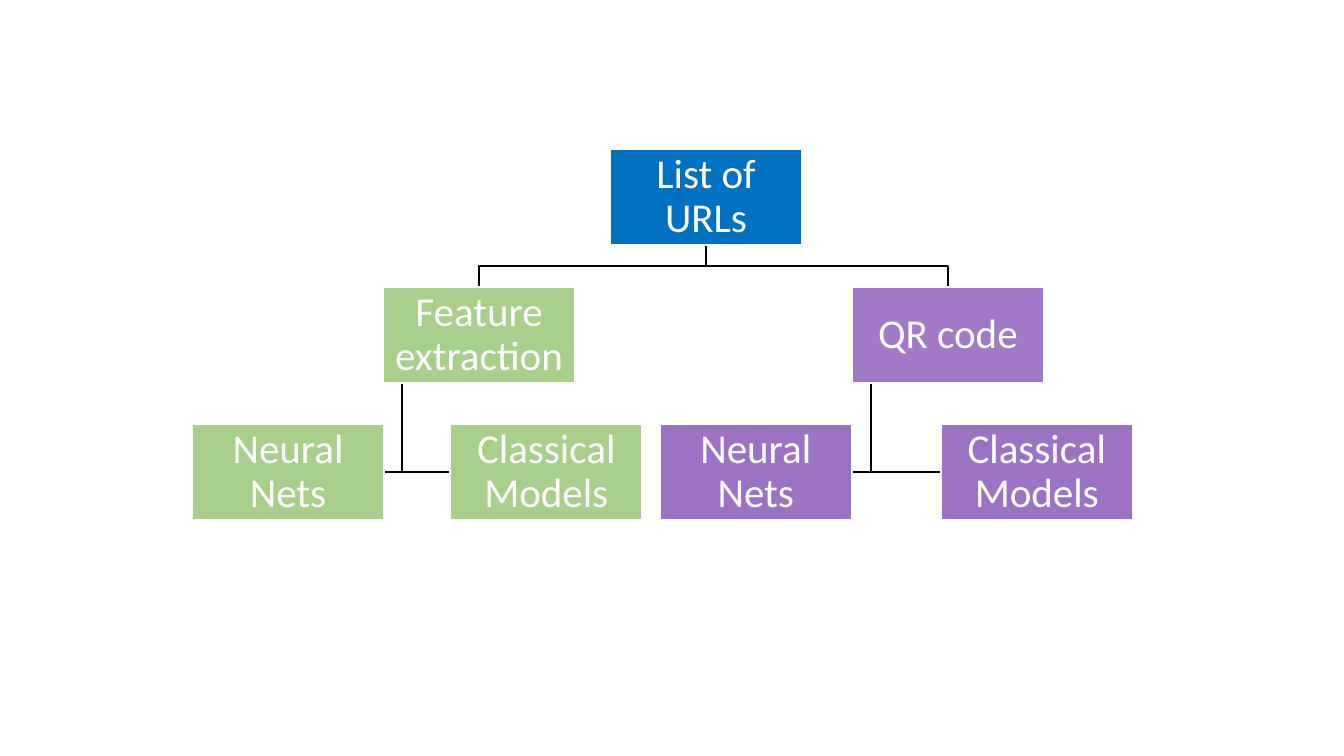
from lxml import etree
from pptx import Presentation
from pptx import util as u
from pptx.dml.color import RGBColor
from pptx.enum import shapes, text
from pptx.oxml.ns import qn

BLACK = RGBColor(0x00, 0x00, 0x00)
WHITE = RGBColor(0xFF, 0xFF, 0xFF)
BLUE = RGBColor(0x00, 0x70, 0xC0)
GREEN = RGBColor(0xA8, 0xD0, 0x8C)
PURPLE = RGBColor(0x9C, 0x72, 0xC4)

BOX_W, BOX_H = u.Cm(3.63), u.Cm(1.81)
ROOT_Y, BRANCH_Y, LEAF_Y = u.Cm(2.82), u.Cm(5.43), u.Cm(8.02)
ROOT_X = u.Cm(11.53)
TRUNK_INSET = u.Cm(0.36)

BRANCHES = [
    ("QR code", 16.1, PURPLE, 95, [("Classical Models", 17.78), ("Neural Nets", 12.47)]),
    ("Feature extraction", 7.24, GREEN, 100, [("Classical Models", 8.51), ("Neural Nets", 3.63)]),
]


def add_line(s, points):
    builder = s.shapes.build_freeform(*points[0], scale=1.0)
    builder.add_line_segments(points[1:], close=False)
    sp = builder.convert_to_shape()
    sp.shadow.inherit = False
    sp.fill.background()
    sp.line.color.rgb = BLACK
    sp.line.width = u.Pt(1.25)


def link_branch(s, branch_x):
    start_x, end_x = ROOT_X + BOX_W // 2, branch_x + BOX_W // 2
    top = ROOT_Y + BOX_H
    middle = (top + BRANCH_Y) // 2
    add_line(s, [(start_x, top), (start_x, middle), (end_x, middle), (end_x, BRANCH_Y)])


def link_leaf(s, branch_x, leaf_x):
    trunk_x = branch_x + TRUNK_INSET
    end_x = leaf_x if leaf_x > trunk_x else leaf_x + BOX_W
    middle = LEAF_Y + BOX_H // 2
    add_line(s, [(trunk_x, BRANCH_Y + BOX_H), (trunk_x, middle), (end_x, middle)])


def add_box(s, label, x, y, color, opacity=100):
    sp = s.shapes.add_shape(shapes.MSO_SHAPE.RECTANGLE, x, y, BOX_W, BOX_H)
    sp.shadow.inherit = False
    sp.fill.solid()
    sp.fill.fore_color.rgb = color
    if opacity < 100:
        clr = sp._element.spPr.find(qn("a:solidFill")).find(qn("a:srgbClr"))
        etree.SubElement(clr, qn("a:alpha")).set("val", str(opacity * 1000))
    sp.line.color.rgb = WHITE
    sp.line.width = u.Pt(1)
    tf = sp.text_frame
    tf.text = label
    tf.word_wrap = True
    tf.vertical_anchor = text.MSO_ANCHOR.MIDDLE
    tf.margin_left = tf.margin_right = tf.margin_top = tf.margin_bottom = u.Cm(0.04)
    p = tf.paragraphs[0]
    p.alignment = text.PP_ALIGN.CENTER
    p.line_spacing = 0.9
    r = p.runs[0]
    r.font.name = "Calibri"
    r.font.size = u.Pt(22)
    r.font.color.rgb = WHITE


def main():
    prs = Presentation()
    prs.slide_width, prs.slide_height = u.Cm(25.4), u.Cm(14.29)
    s = prs.slides.add_slide(prs.slide_layouts[6])
    for _, x, _, _, leaves in BRANCHES:
        for _, leaf_x in leaves:
            link_leaf(s, u.Cm(x), u.Cm(leaf_x))
        link_branch(s, u.Cm(x))
    add_box(s, "List of URLs", ROOT_X, ROOT_Y, BLUE)
    for label, x, color, opacity, leaves in BRANCHES:
        add_box(s, label, u.Cm(x), BRANCH_Y, color, opacity)
        for leaf, leaf_x in leaves:
            add_box(s, leaf, u.Cm(leaf_x), LEAF_Y, color)
    prs.save("out.pptx")


if __name__ == "__main__":
    main()
